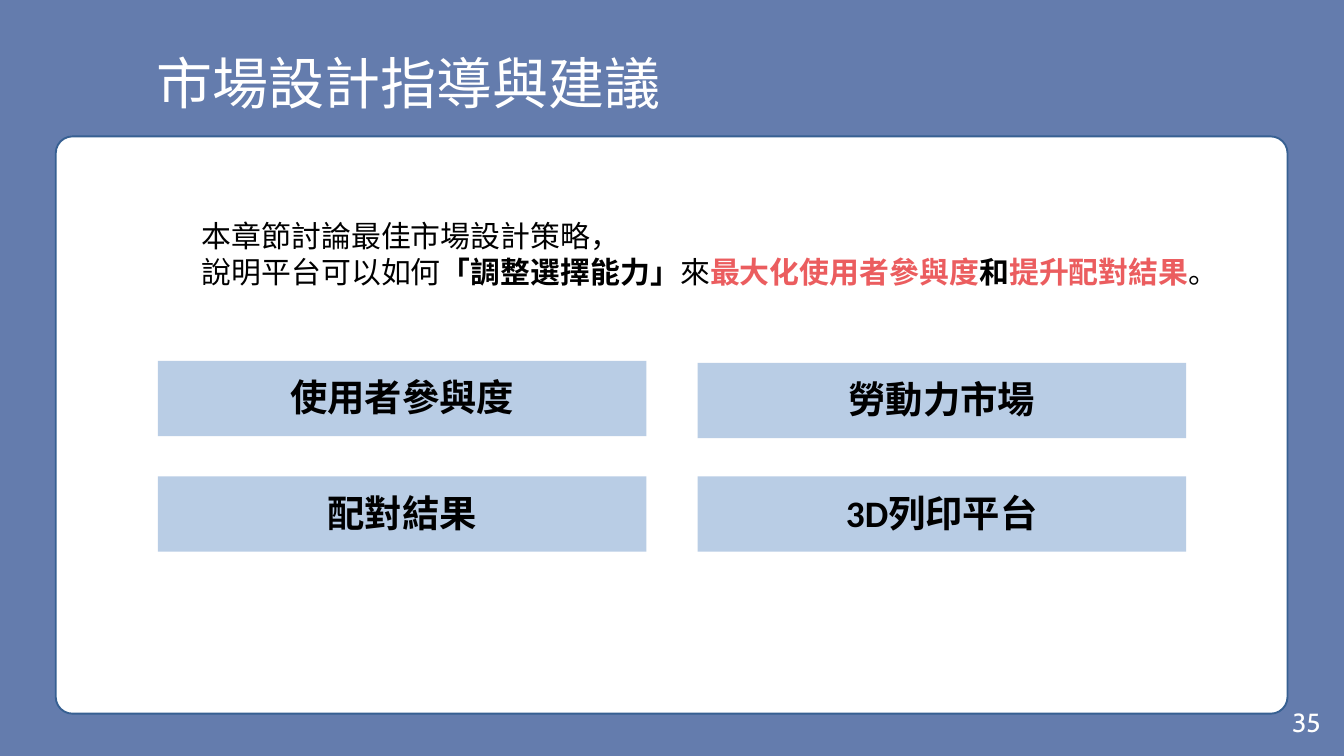
from dataclasses import dataclass

from lxml import etree
from pptx import Presentation
from pptx.dml.color import RGBColor
from pptx.enum.shapes import MSO_SHAPE
from pptx.enum.text import MSO_ANCHOR, PP_ALIGN
from pptx.oxml.ns import qn
from pptx.util import Inches, Pt

RECTANGLE = MSO_SHAPE.RECTANGLE
ROUNDED = MSO_SHAPE.ROUNDED_RECTANGLE
TOP, MIDDLE = MSO_ANCHOR.TOP, MSO_ANCHOR.MIDDLE
LEFT, CENTER, RIGHT = PP_ALIGN.LEFT, PP_ALIGN.CENTER, PP_ALIGN.RIGHT


@dataclass(frozen=True)
class Theme:
    """Colours, fonts and type sizes of the slide."""
    backdrop: str = "647CAD"
    white: str = "FFFFFF"
    outline: str = "376092"
    tile: str = "B9CDE5"
    ink: str = "000000"
    accent: str = "EB5D5F"
    title_font: str = "Noto Sans CJK SC"
    body_font: str = "Calibri"
    number_font: str = "Cabin"
    title_size: int = 60
    label_size: int = 40
    body_size: int = 32
    number_size: int = 28


THEME = Theme()

INTRO = [
    [("本章節討論最佳市場設計策略，", {})],
    [
        ("說明平台可以如何", {}),
        ("「調整選擇能力」", {"bold": True}),
        ("來", {}),
        ("最大化使用者參與度", {"bold": True, "color": THEME.accent}),
        ("和", {"bold": True}),
        ("提升配對結果", {"bold": True, "color": THEME.accent}),
        ("。", {}),
    ],
]

TILES = [
    ("使用者參與度", 2.35, 5.37),
    ("配對結果", 2.35, 7.09),
    ("勞動力市場", 10.38, 5.4),
    ("3D列印平台", 10.38, 7.09),
]


def add_span(para, text, *, size, font=THEME.body_font, color=THEME.ink, bold=False):
    """Append a formatted run to a paragraph."""
    span = para.add_run()
    span.text = text
    span.font.size = Pt(size)
    span.font.name = font
    span.font.bold = bold
    span.font.color.rgb = RGBColor.from_string(color)
    latin = span.font._element.find(qn("a:latin"))
    east_asian = etree.Element(qn("a:ea"), typeface=font)
    latin.addnext(east_asian)


def set_frame(box, *, anchor=MIDDLE, insets=(0, 0, 0, 0)):
    """Set wrapping, anchor and insets of a box and return its text frame."""
    frame = box.text_frame
    frame.word_wrap = True
    frame.vertical_anchor = anchor
    frame.margin_left, frame.margin_top, frame.margin_right, frame.margin_bottom = map(Inches, insets)
    return frame


def add_block(page, kind, left, top, width, height, *, fill, line=None):
    """Add a flat filled shape, with an outline if a line colour is given."""
    block = page.shapes.add_shape(kind, Inches(left), Inches(top), Inches(width), Inches(height))
    block.shadow.inherit = False
    block.fill.solid()
    block.fill.fore_color.rgb = RGBColor.from_string(fill)
    if line:
        block.line.color.rgb = RGBColor.from_string(line)
        block.line.width = Pt(2)
    else:
        block.line.fill.background()
    return block


def add_title(page, text):
    """Place and format the title placeholder."""
    title = page.shapes.title
    title.left, title.top = Inches(2.33), Inches(0.72)
    title.width, title.height = Inches(9.66), Inches(1.01)
    para = set_frame(title).paragraphs[0]
    para.alignment = LEFT
    add_span(para, text, size=THEME.title_size, font=THEME.title_font, color=THEME.white)


def add_page_number(page, text):
    """Add the page number at the lower right."""
    box = page.shapes.add_textbox(Inches(17.42), Inches(10.54), Inches(2.33), Inches(0.4))
    para = set_frame(box, insets=(0.1, 0.05, 0.1, 0.05)).paragraphs[0]
    para.alignment = RIGHT
    add_span(para, text, size=THEME.number_size, font=THEME.number_font, color=THEME.white)


def add_panel(page, lines):
    """Add the white rounded panel with the introduction."""
    panel = add_block(page, ROUNDED, 0.83, 2.03, 18.33, 8.59, fill=THEME.white, line=THEME.outline)
    panel.adjustments[0] = 0.029
    frame = set_frame(panel, anchor=TOP, insets=(2.1, 1.14, 0.1, 0.05))
    for index, line in enumerate(lines):
        para = frame.add_paragraph() if index else frame.paragraphs[0]
        para.alignment = LEFT
        for text, style in line:
            add_span(para, text, size=THEME.body_size, **style)


def add_tile(page, text, left, top):
    """Add one topic tile with a centred label."""
    tile = add_block(page, RECTANGLE, left, top, 7.27, 1.12, fill=THEME.tile)
    para = set_frame(tile).paragraphs[0]
    para.alignment = CENTER
    para.line_spacing = Pt(44.8)
    add_span(para, text, size=THEME.label_size, bold=True)


def main():
    """Build the slide and save the deck."""
    deck = Presentation()
    deck.slide_width, deck.slide_height = Inches(20), Inches(11.25)
    page = deck.slides.add_slide(deck.slide_layouts[5])
    page.background.fill.solid()
    page.background.fill.fore_color.rgb = RGBColor.from_string(THEME.backdrop)
    add_title(page, "市場設計指導與建議")
    add_page_number(page, "35")
    add_panel(page, INTRO)
    for text, left, top in TILES:
        add_tile(page, text, left, top)
    deck.save("out.pptx")


if __name__ == "__main__":
    main()
